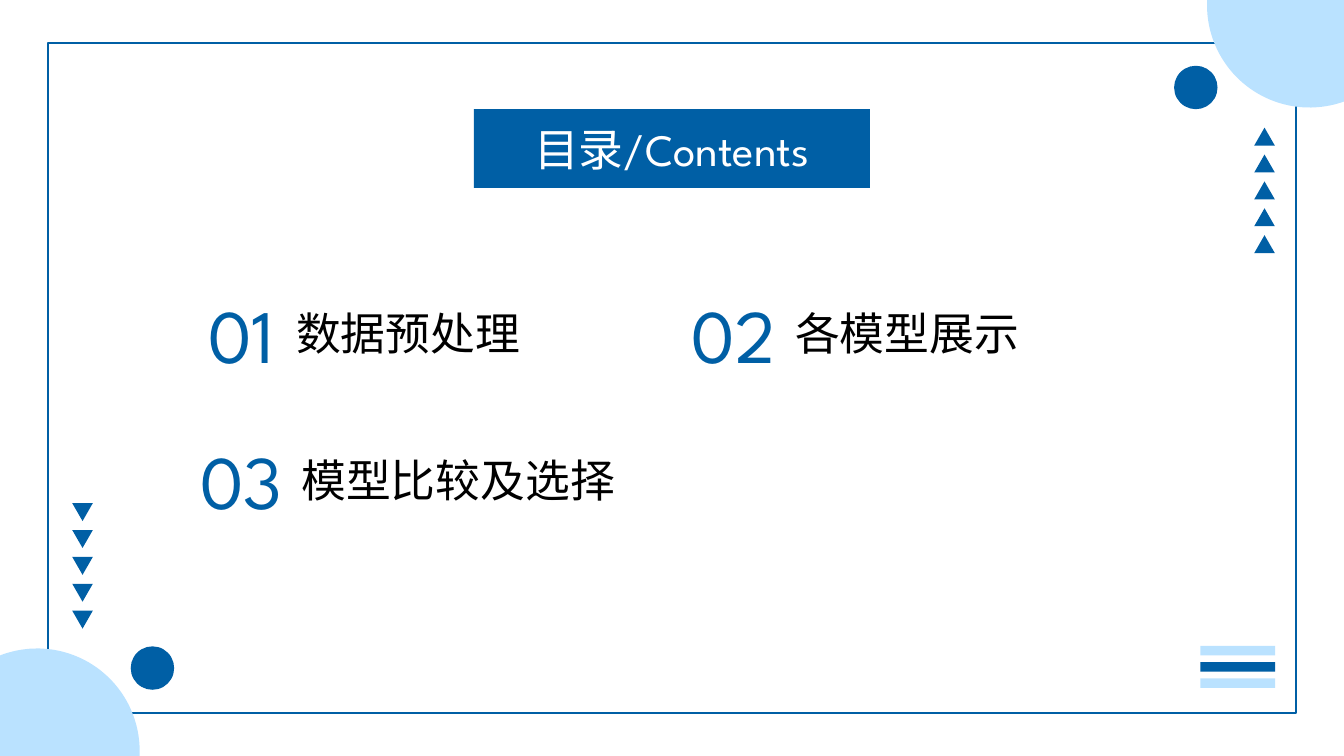
from math import acos, asin, cos, pi, sin

from lxml import etree
from pptx import Presentation
from pptx.dml.color import RGBColor
from pptx.enum.shapes import MSO_SHAPE as Shape
from pptx.enum.text import MSO_ANCHOR as Anchor, MSO_AUTO_SIZE as AutoSize, PP_ALIGN as Align
from pptx.oxml.ns import qn
from pptx.util import Pt

COLOURS = {"blue": "005FA5", "sky": "BAE2FF", "white": "FFFFFF", "black": "000000"}
FONT = "League Spartan"
WIDTH, HEIGHT = 960, 540
TOPICS = [
    ("01", "数据预处理", 129.6, 211.7, 74.9),
    ("02", "各模型展示", 481.7, 211.7, 79.2),
    ("03", "模型比较及选择", 129.6, 316.1, 78.5),
]


def rgb(name):
    """Return the named colour."""
    return RGBColor.from_string(COLOURS[name])


def paint(shape, colour):
    """Give a shape a flat fill without line or shadow."""
    shape.shadow.inherit = False
    shape.fill.solid()
    shape.fill.fore_color.rgb = rgb(colour)
    shape.line.fill.background()


def add_solid(page, kind, box, colour):
    """Add a preset shape with a flat fill."""
    shape = page.shapes.add_shape(kind, *map(Pt, box))
    paint(shape, colour)
    return shape


def write(frame, text, size, colour, align):
    """Set one line of text, centred vertically."""
    frame.word_wrap = True
    frame.auto_size = AutoSize.NONE
    frame.vertical_anchor = Anchor.MIDDLE
    para = frame.paragraphs[0]
    para.text = text
    para.alignment = align
    span = para.runs[0]
    span.font.name = FONT
    span.font.size = Pt(size)
    span.font.color.rgb = rgb(colour)


def add_frame(page, box):
    """Draw the thin border of the page."""
    border = page.shapes.add_shape(Shape.RECTANGLE, *map(Pt, box))
    border.shadow.inherit = False
    border.fill.background()
    border.line.color.rgb = rgb("blue")
    border.line.width = Pt(1)


def add_corner_disc(page, corner, inward, offset):
    """Draw a disc trimmed by the two page edges that meet at a corner."""
    radius, steps = 73.2, 60
    start = acos(offset[0] / radius)
    end = pi + asin(offset[1] / radius)
    angles = [start + (end - start) * step / steps for step in range(steps + 1)]
    points = [
        (Pt(corner[0] + inward * (radius * cos(angle) - offset[0])),
         Pt(corner[1] + inward * (radius * sin(angle) + offset[1])))
        for angle in angles
    ]
    builder = page.shapes.build_freeform(Pt(corner[0]), Pt(corner[1]))
    builder.add_line_segments(points, close=True)
    paint(builder.convert_to_shape(), "sky")


def add_triangles(page, left, top, rotation):
    """Stack five small triangles."""
    for index in range(5):
        box = (left, top + index * 19.2, 14.7, 12.8)
        add_solid(page, Shape.ISOSCELES_TRIANGLE, box, "blue").rotation = rotation


def add_bars(page, left, top):
    """Stack three short bars."""
    for index, colour in enumerate(("sky", "blue", "sky")):
        add_solid(page, Shape.RECTANGLE, (left, top + index * 11.6, 53.5, 6.8), colour)


def add_heading(page, box):
    """Turn the title placeholder into a filled pill."""
    title = page.shapes.title
    title.left, title.top, title.width, title.height = map(Pt, box)
    outline = etree.SubElement(title._element.spPr, qn("a:prstGeom"), prst="roundRect")
    guides = etree.SubElement(outline, qn("a:avLst"))
    etree.SubElement(guides, qn("a:gd"), name="adj", fmla="val 50000")
    title.fill.solid()
    title.fill.fore_color.rgb = rgb("blue")
    write(title.text_frame, "目录/Contents", 32, "white", Align.CENTER)


def add_topic(page, number, label, left, top, gap):
    """Place a large number and its label to the right."""
    number_box = page.shapes.add_textbox(*map(Pt, (left, top, 85.7, 52.6)))
    write(number_box.text_frame, number, 54, "blue", Align.CENTER)
    label_box = page.shapes.add_textbox(*map(Pt, (left + gap, top + 3.2, 259.2, 46)))
    write(label_box.text_frame, label, 32, "black", Align.LEFT)


def add_contents_page(deck):
    """Build the contents page."""
    page = deck.slides.add_slide(deck.slide_layouts[5])
    add_frame(page, (34.3, 30.8, 891.6, 478.6))
    add_corner_disc(page, (WIDTH, 0), 1, (24.6, 3.6))
    add_corner_disc(page, (0, HEIGHT), -1, (26.6, 3.6))
    add_triangles(page, 895.9, 91.2, 0)
    add_triangles(page, 51.6, 359.4, 180)
    for left, top in ((838.7, 47), (93.4, 461.7)):
        add_solid(page, Shape.OVAL, (left, top, 31, 31), "blue")
    add_bars(page, 857.4, 461.4)
    add_heading(page, (338.4, 78, 283, 56.2))
    for topic in TOPICS:
        add_topic(page, *topic)


def main():
    """Create and save the deck."""
    deck = Presentation()
    deck.slide_width, deck.slide_height = Pt(WIDTH), Pt(HEIGHT)
    add_contents_page(deck)
    deck.save("out.pptx")


if __name__ == "__main__":
    main()
